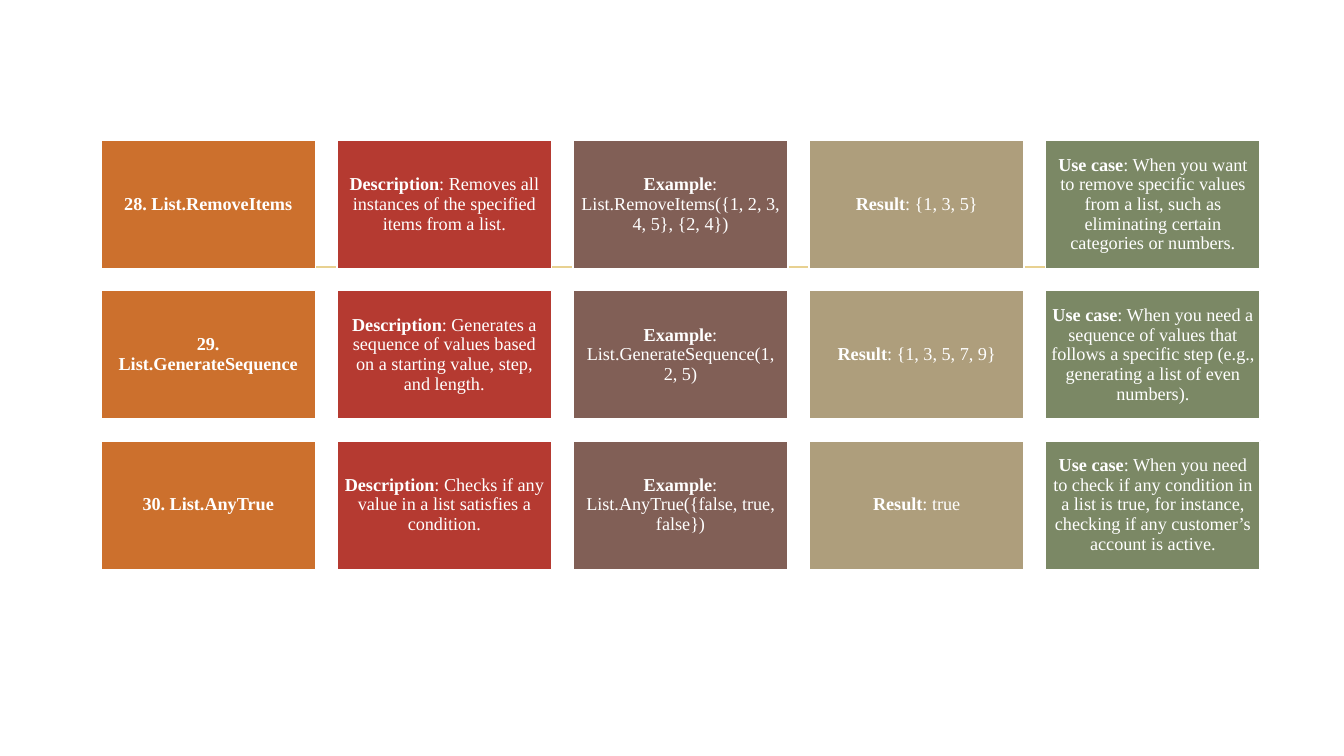
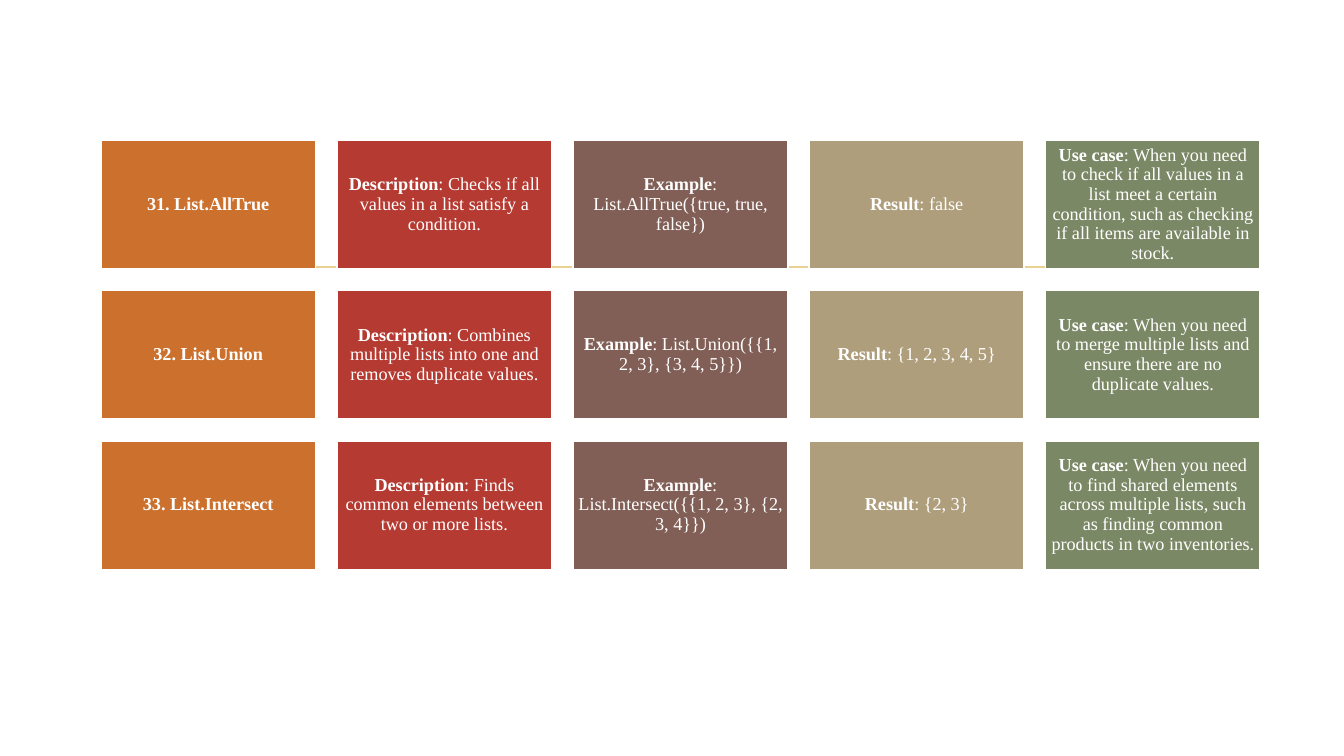
import dataclasses

import lxml.etree
import pptx
import pptx.dml.color
import pptx.enum.shapes
import pptx.enum.text
import pptx.oxml.ns
import pptx.util

Pt = pptx.util.Pt


@dataclasses.dataclass(frozen=True)
class Theme:
    """Colours, type and grid measures in points shared by all pages."""

    columns: tuple = ("CC702D", "B53A31", "815F56", "AE9E7C", "7B8865")
    white: str = "FFFFFF"
    rule: str = "E8D191"
    font: str = "Times New Roman"
    size: float = 13
    line_spacing: float = 0.9
    line_width: float = 1.25
    inset: float = 3.6
    page_width: float = 960
    page_height: float = 540
    left: float = 72
    top: float = 100.1
    card_width: float = 153.36
    card_height: float = 92
    gap: float = 15.34
    rule_left: float = 110.16
    rule_right: float = 850.32
    rule_top: float = 190.8


LABELS = ("Description", "Example", "Result", "Use case")

PAGES = (
    (
        (
            "28. List.RemoveItems",
            "Removes all instances of the specified items from a list.",
            "List.RemoveItems({1, 2, 3, 4, 5}, {2, 4})",
            "{1, 3, 5}",
            "When you want to remove specific values from a list, such as "
            "eliminating certain categories or numbers.",
        ),
        (
            "29. List.GenerateSequence",
            "Generates a sequence of values based on a starting value, step, and length.",
            "List.GenerateSequence(1, 2, 5)",
            "{1, 3, 5, 7, 9}",
            "When you need a sequence of values that follows a specific step "
            "(e.g., generating a list of even numbers).",
        ),
        (
            "30. List.AnyTrue",
            "Checks if any value in a list satisfies a condition.",
            "List.AnyTrue({false, true, false})",
            "true",
            "When you need to check if any condition in a list is true, for "
            "instance, checking if any customer’s account is active.",
        ),
    ),
    (
        (
            "31. List.AllTrue",
            "Checks if all values in a list satisfy a condition.",
            "List.AllTrue({true, true, false})",
            "false",
            "When you need to check if all values in a list meet a certain "
            "condition, such as checking if all items are available in stock.",
        ),
        (
            "32. List.Union",
            "Combines multiple lists into one and removes duplicate values.",
            "List.Union({{1, 2, 3}, {3, 4, 5}})",
            "{1, 2, 3, 4, 5}",
            "When you need to merge multiple lists and ensure there are no duplicate values.",
        ),
        (
            "33. List.Intersect",
            "Finds common elements between two or more lists.",
            "List.Intersect({{1, 2, 3}, {2, 3, 4}})",
            "{2, 3}",
            "When you need to find shared elements across multiple lists, such "
            "as finding common products in two inventories.",
        ),
    ),
)


def rgb(value):
    return pptx.dml.color.RGBColor.from_string(value)


def add_span(para, text, *, font, size, color, bold=False):
    span = para.add_run()
    span.text = text
    span.font.name = font
    span.font.size = Pt(size)
    span.font.color.rgb = rgb(color)
    span.font.bold = bold


class CardDeck:
    def __init__(self, theme):
        self.theme = theme
        self.deck = pptx.Presentation()
        self.deck.slide_width = Pt(theme.page_width)
        self.deck.slide_height = Pt(theme.page_height)
        self.page = None

    def add_page(self):
        blank_layout = self.deck.slide_layouts[6]
        self.page = self.deck.slides.add_slide(blank_layout)
        self.add_rule()

    def add_rule(self):
        theme = self.theme
        rule = self.page.shapes.add_connector(
            pptx.enum.shapes.MSO_CONNECTOR.STRAIGHT,
            Pt(theme.rule_left), Pt(theme.rule_top),
            Pt(theme.rule_right), Pt(theme.rule_top),
        )
        rule.line.color.rgb = rgb(theme.rule)
        rule.line.width = Pt(theme.line_width)
        lxml.etree.SubElement(rule.element.spPr, pptx.oxml.ns.qn("a:effectLst"))

    def add_card(self, row, column, heading, detail=""):
        theme = self.theme
        box = self.page.shapes.add_shape(
            pptx.enum.shapes.MSO_SHAPE.RECTANGLE,
            Pt(theme.left + column * (theme.card_width + theme.gap)),
            Pt(theme.top + row * (theme.card_height + theme.gap)),
            Pt(theme.card_width), Pt(theme.card_height),
        )
        box.shadow.inherit = False
        box.fill.solid()
        box.fill.fore_color.rgb = rgb(theme.columns[column])
        box.line.color.rgb = rgb(theme.white)
        box.line.width = Pt(theme.line_width)

        frame = box.text_frame
        frame.word_wrap = True
        frame.vertical_anchor = pptx.enum.text.MSO_ANCHOR.MIDDLE
        frame.margin_left = frame.margin_right = Pt(theme.inset)
        frame.margin_top = frame.margin_bottom = Pt(theme.inset)

        para = frame.paragraphs[0]
        para.alignment = pptx.enum.text.PP_ALIGN.CENTER
        para.line_spacing = theme.line_spacing
        style = {"font": theme.font, "size": theme.size, "color": theme.white}
        add_span(para, heading, bold=True, **style)
        if detail:
            add_span(para, f": {detail}", **style)

    def add_row(self, row, name, details):
        self.add_card(row, 0, name)
        for column, (label, detail) in enumerate(zip(LABELS, details), start=1):
            self.add_card(row, column, label, detail)


def main():
    cards = CardDeck(Theme())
    for functions in PAGES:
        cards.add_page()
        for row, (name, *details) in enumerate(functions):
            cards.add_row(row, name, details)
    cards.deck.save("out.pptx")


if __name__ == "__main__":
    main()
